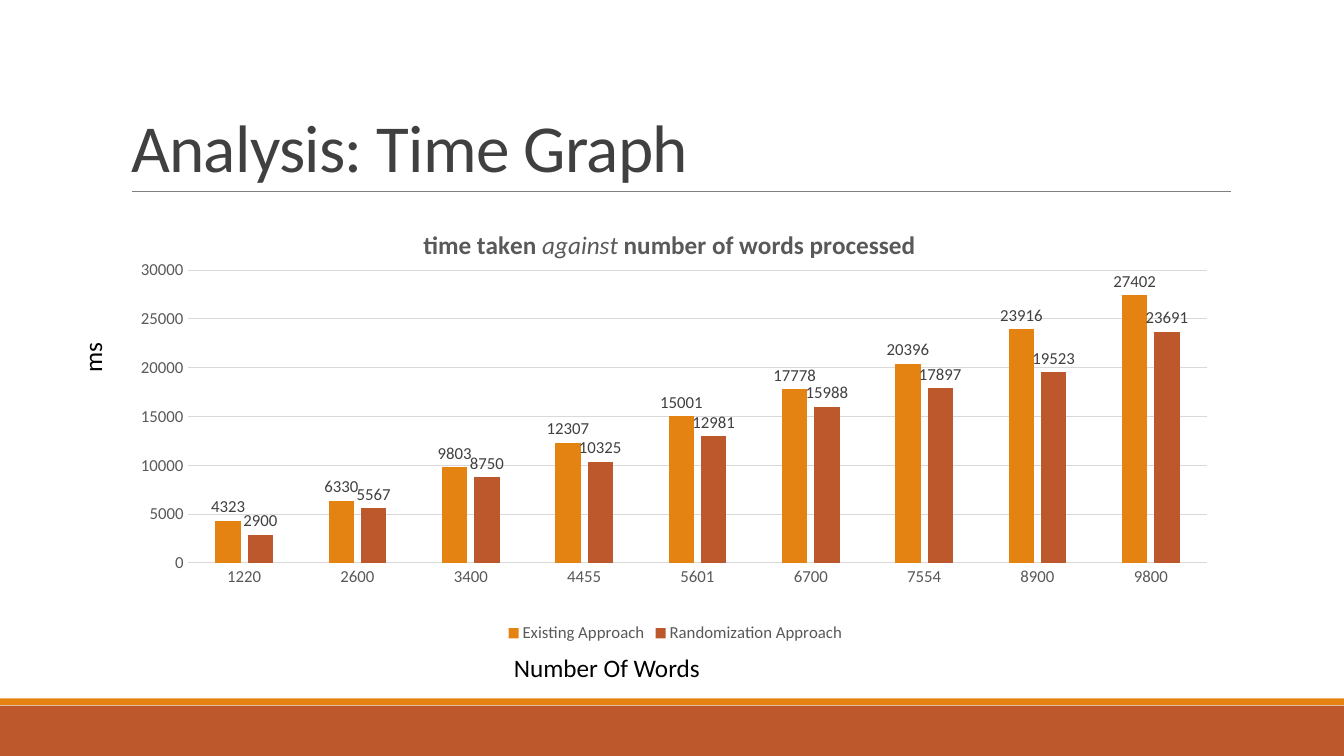
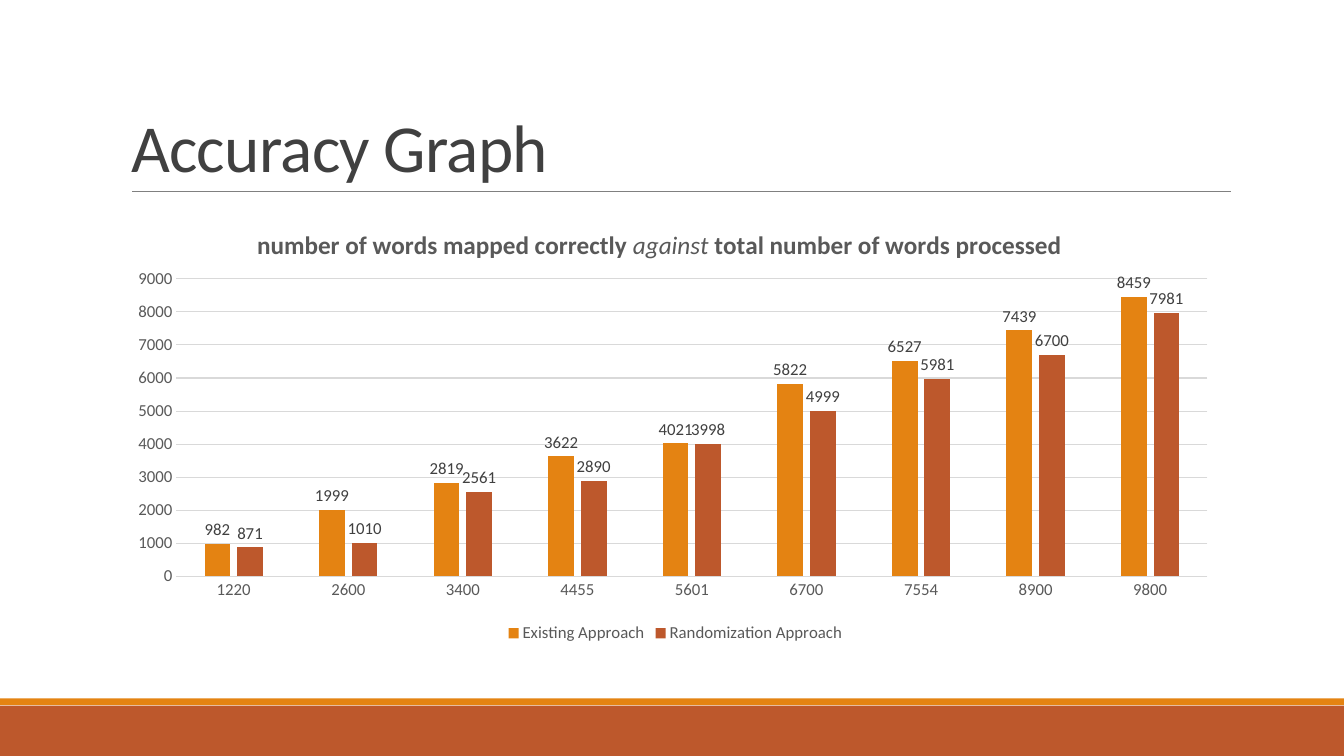
from lxml import etree
from pptx import Presentation
from pptx.chart.data import CategoryChartData
from pptx.dml.color import RGBColor
from pptx.enum.chart import XL_CHART_TYPE, XL_LABEL_POSITION, XL_LEGEND_POSITION, XL_TICK_MARK
from pptx.enum.shapes import MSO_CONNECTOR, MSO_SHAPE
from pptx.enum.text import MSO_ANCHOR, PP_ALIGN
from pptx.oxml import parse_xml
from pptx.oxml.ns import nsdecls, qn
from pptx.util import Cm, Pt

# Shared look
ORANGE = RGBColor(0xE4, 0x83, 0x12)
RUST = RGBColor(0xBD, 0x58, 0x2C)
DARK = RGBColor(0x40, 0x40, 0x40)
GREY = RGBColor(0x59, 0x59, 0x59)
RULE_GREY = RGBColor(0x80, 0x80, 0x80)
GRID_GREY = RGBColor(0xD9, 0xD9, 0xD9)
BLACK = RGBColor(0, 0, 0)
FONT = "Calibri"
TITLE_STYLE = {"name": FONT, "size": Pt(48), "bold": False}
AXIS_STYLE = {"name": FONT, "size": Pt(12), "bold": False}
CAPTION_STYLE = {"name": FONT, "size": Pt(18)}

# Boxes in cm: left, top, width, height
SLIDE_W, SLIDE_H = 33.87, 19.05
TITLE_BOX = (3.05, 0.79, 27.94, 4.04)
CHART_BOX = (3.05, 5.13, 27.94, 11.18)
BANDS = [(RUST, 17.78, 1.27), (ORANGE, 17.6, 0.17)]

WORDS = ["1220", "2600", "3400", "4455", "5601", "6700", "7554", "8900", "9800"]
SERIES_COLORS = {"Existing Approach": ORANGE, "Randomization Approach": RUST}

# Plot and heading positions are fractions of the chart box
TIME_CHART = {
    "heading": ["time taken ", "against", " number of words processed"],
    "heading_at": (0.27, 0.05),
    "plot": (0.06, 0.15, 0.92, 0.66),
    "scale": (30000, 5000),
    "values": [
        (4323, 6330, 9803, 12307, 15001, 17778, 20396, 23916, 27402),
        (2900, 5567, 8750, 10325, 12981, 15988, 17897, 19523, 23691),
    ],
}
ACCURACY_CHART = {
    "heading": ["number of words mapped correctly ", "against",
                " total number of words processed"],
    "heading_at": (0.12, 0.05),
    "plot": (0.05, 0.17, 0.93, 0.67),
    "scale": (9000, 1000),
    "values": [
        (982, 1999, 2819, 3622, 4021, 5822, 6527, 7439, 8459),
        (871, 1010, 2561, 2890, 3998, 4999, 5981, 6700, 7981),
    ],
}


def style_font(font, style, color):
    for name, value in style.items():
        setattr(font, name, value)
    font.color.rgb = color


def place(shape, box):
    for name, value in zip(("left", "top", "width", "height"), box):
        setattr(shape, name, Cm(value))


def add_frame(s):
    """Footer bands and the rule below the title."""
    for color, top, height in BANDS:
        band = s.shapes.add_shape(MSO_SHAPE.RECTANGLE, 0, Cm(top), Cm(SLIDE_W), Cm(height))
        band.shadow.inherit = False
        band.fill.solid()
        band.fill.fore_color.rgb = color
        band.line.fill.background()
    left, top, width, height = TITLE_BOX
    y = Cm(top + height)
    rule = s.shapes.add_connector(MSO_CONNECTOR.STRAIGHT, Cm(left + 0.28), y,
                                  Cm(left + width + 0.02), y)
    rule.line.color.rgb = RULE_GREY
    rule.line.width = Pt(0.5)
    etree.SubElement(rule.element.spPr, qn("a:effectLst"))


def add_title(s, text, box):
    title = s.shapes.title
    place(title, box)
    tf = title.text_frame
    tf.word_wrap = True
    tf.vertical_anchor = MSO_ANCHOR.BOTTOM
    p = tf.paragraphs[0]
    p.alignment = PP_ALIGN.LEFT
    p.line_spacing = 0.85
    r = p.add_run()
    r.text = text
    style_font(r.font, TITLE_STYLE, DARK)
    title.element.xpath(".//a:rPr")[0].set("spc", "-50")  # tighter letters


def add_caption(s, text, box, rotation=0):
    caption = s.shapes.add_textbox(0, 0, 0, 0)
    place(caption, box)
    caption.rotation = rotation
    tf = caption.text_frame
    tf.word_wrap = True
    r = tf.paragraphs[0].add_run()
    r.text = text
    style_font(r.font, CAPTION_STYLE, BLACK)


def set_layout(parent, index, fractions, inner=False):
    """Fix the place of a chart part: x, y and, if given, w, h."""
    for old in parent.findall(qn("c:layout")):
        parent.remove(old)
    target = '<c:layoutTarget val="inner"/>' if inner else ""
    modes = '<c:xMode val="edge"/><c:yMode val="edge"/>'
    sizes = "".join(f'<c:{k} val="{v}"/>' for k, v in zip("xywh", fractions))
    parent.insert(index, parse_xml(
        f'<c:layout {nsdecls("c")}><c:manualLayout>{target}{modes}{sizes}'
        "</c:manualLayout></c:layout>"))


def add_heading(chart, parts, position):
    p = chart.chart_title.text_frame.paragraphs[0]
    for i, part in enumerate(parts):
        r = p.add_run()
        r.text = part
        middle = i == 1
        style_font(r.font, {**CAPTION_STYLE, "bold": not middle, "italic": middle}, GREY)
    chart.chart_title.include_in_layout = False
    set_layout(chart.element.xpath("c:chart/c:title")[0], 1, position)


def format_axes(chart, maximum, step):
    for axis in (chart.category_axis, chart.value_axis):
        axis.major_tick_mark = axis.minor_tick_mark = XL_TICK_MARK.NONE
        style_font(axis.tick_labels.font, AXIS_STYLE, GREY)
    values = chart.value_axis
    values.minimum_scale, values.maximum_scale, values.major_unit = 0, maximum, step
    values.format.line.fill.background()
    values.has_major_gridlines = True
    for line in (values.major_gridlines.format.line, chart.category_axis.format.line):
        line.color.rgb = GRID_GREY
        line.width = Pt(0.75)


def add_column_chart(s, info, box):
    data = CategoryChartData(number_format="General")
    data.categories = WORDS
    for name, values in zip(SERIES_COLORS, info["values"]):
        data.add_series(name, values)
    chart = s.shapes.add_chart(XL_CHART_TYPE.COLUMN_CLUSTERED,
                               *(Cm(v) for v in box), data).chart
    style_font(chart.font, {"name": FONT, "size": Pt(10)}, BLACK)
    add_heading(chart, info["heading"], info["heading_at"])
    format_axes(chart, *info["scale"])

    # Legend
    chart.has_legend = True
    chart.legend.position = XL_LEGEND_POSITION.BOTTOM
    chart.legend.include_in_layout = False
    style_font(chart.legend.font, AXIS_STYLE, GREY)

    # Columns and their values
    plot = chart.plots[0]
    plot.vary_by_categories = False
    plot.gap_width, plot.overlap = 219, -27
    for series in plot.series:
        series.format.fill.solid()
        series.format.fill.fore_color.rgb = SERIES_COLORS[series.name]
        labels = series.data_labels
        labels.show_value = True
        labels.position = XL_LABEL_POSITION.OUTSIDE_END
        style_font(labels.font, AXIS_STYLE, DARK)
    set_layout(chart.element.xpath("c:chart/c:plotArea")[0], 0, info["plot"], inner=True)


def add_chart_slide(prs, title, info):
    s = prs.slides.add_slide(prs.slide_layouts[5])
    add_frame(s)
    add_title(s, title, TITLE_BOX)
    add_column_chart(s, info, CHART_BOX)
    return s


def main():
    prs = Presentation()
    prs.slide_width, prs.slide_height = Cm(SLIDE_W), Cm(SLIDE_H)
    s = add_chart_slide(prs, "Analysis: Time Graph", TIME_CHART)
    left, top, _, height = CHART_BOX
    add_caption(s, "ms", (left - 1.45, top + 3.28, 1.45, 1.02), rotation=270)
    add_caption(s, "Number Of Words", (left + 9.65, top + height, 8, 1.02))
    add_chart_slide(prs, "Accuracy Graph", ACCURACY_CHART)
    prs.save("out.pptx")


if __name__ == "__main__":
    main()
